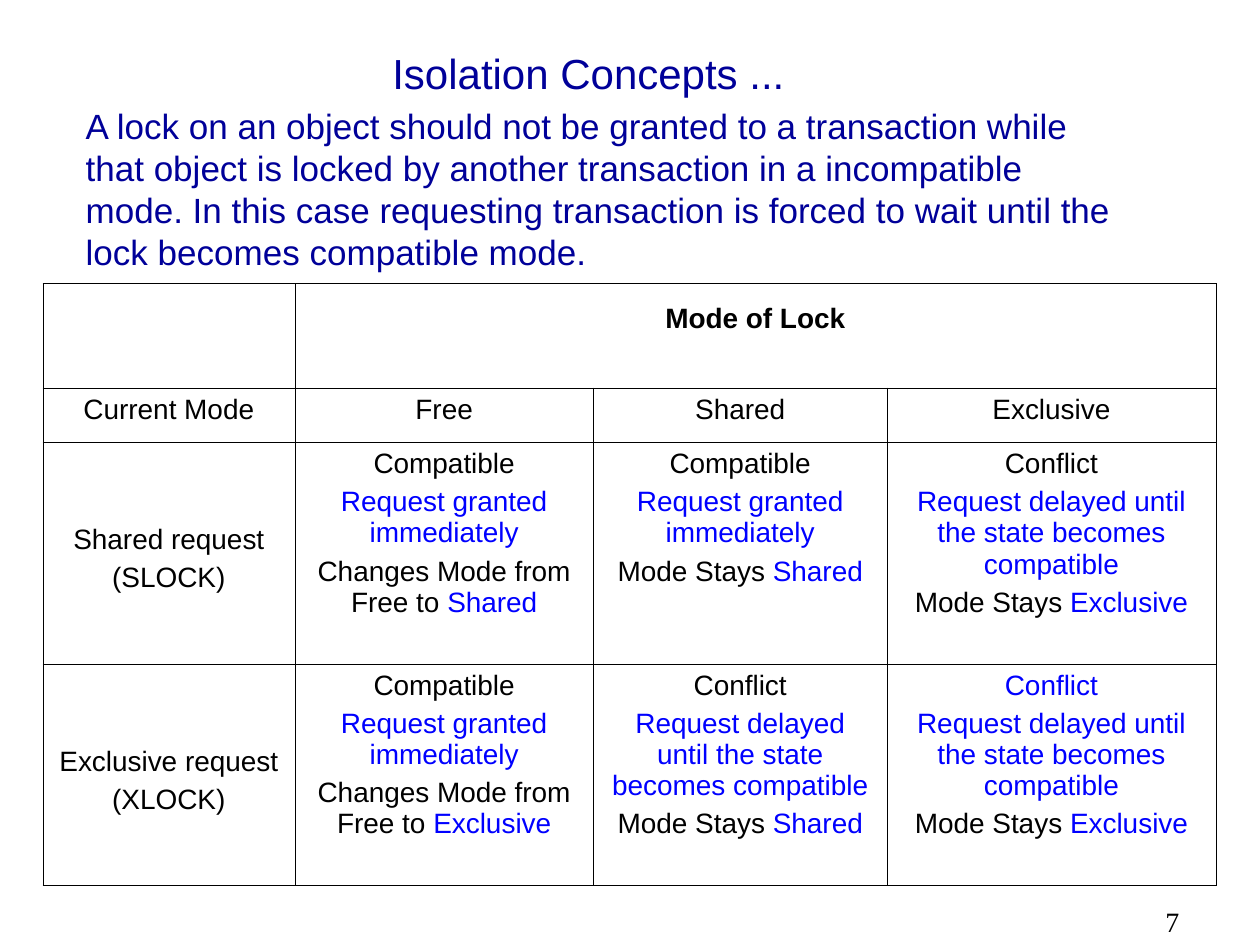
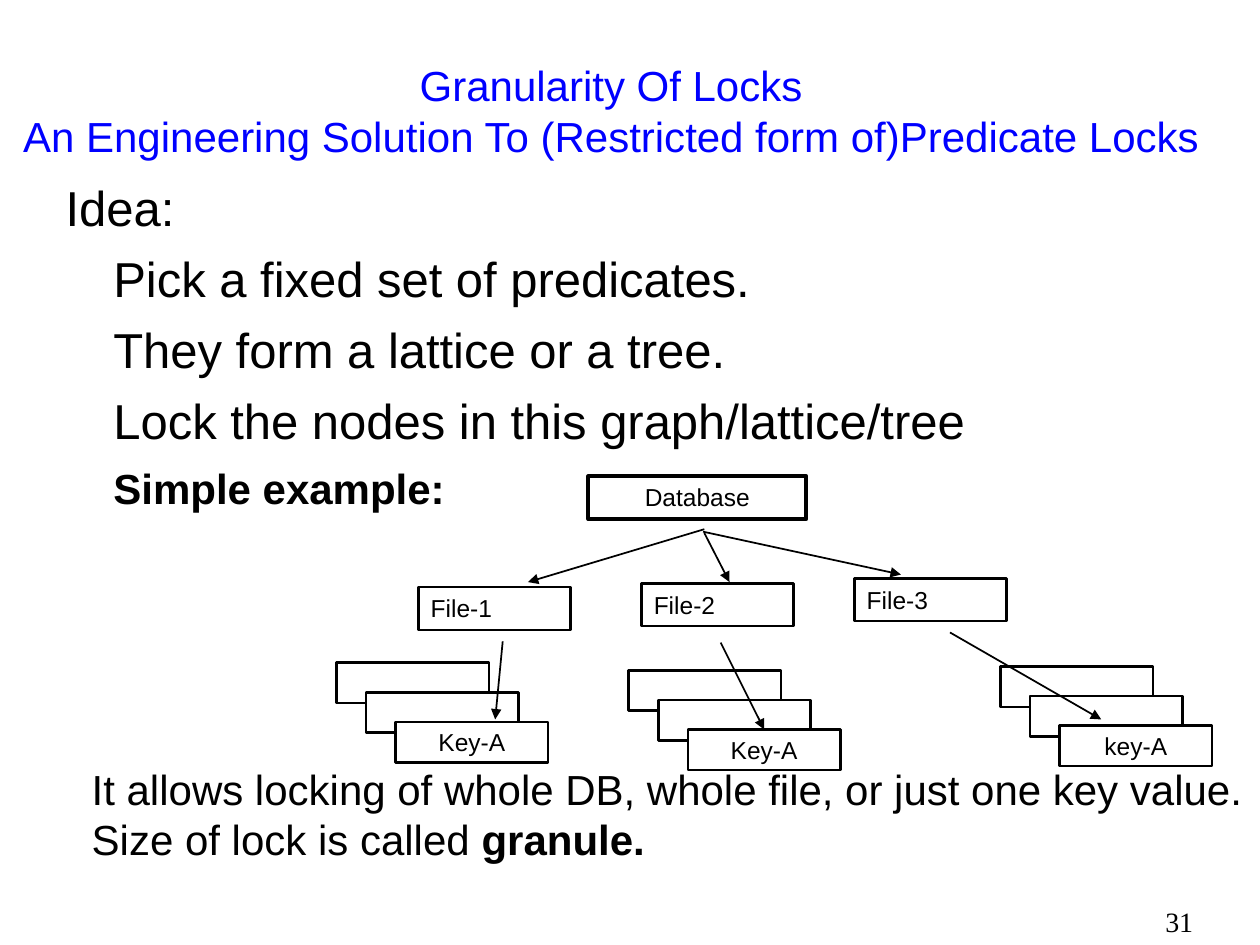
"""Build two slides on lock modes and lock granularity."""
import pptx
import pptx.util
import pptx.dml.color
import pptx.enum.shapes
import pptx.enum.text
import lxml.etree

Pt = pptx.util.Pt
RGB = pptx.dml.color.RGBColor.from_string
ALIGN = pptx.enum.text.PP_ALIGN
ANCHOR = pptx.enum.text.MSO_ANCHOR
RECT = pptx.enum.shapes.MSO_SHAPE.RECTANGLE
STRAIGHT = pptx.enum.shapes.MSO_CONNECTOR.STRAIGHT
A = "{http://schemas.openxmlformats.org/drawingml/2006/main}"

THEME = {
    "black": RGB("000000"), "white": RGB("FFFFFF"),
    "navy": RGB("000099"), "blue": RGB("0000FF"),
    "title": Pt(24), "text": Pt(20), "list": Pt(28), "cell": Pt(16), "node": Pt(14),
}
BASE = {"name": "Arial", "bold": False, "color": THEME["black"]}
TITLE = {**BASE, "size": THEME["title"]}
CELL = {**BASE, "size": THEME["cell"]}
NODE = {**BASE, "size": THEME["node"]}
CENTER = {"alignment": ALIGN.CENTER}
LEFT = {"alignment": ALIGN.LEFT}

prs = pptx.Presentation()
prs.slide_width = pptx.util.Inches(10)
prs.slide_height = pptx.util.Inches(7.5)
COL = prs.slide_width / 100
ROW = prs.slide_height / 75


def grid(*cells):
    """Turn alternating column and row counts into lengths."""
    return [pptx.util.Emu(round(n * (ROW if i % 2 else COL))) for i, n in enumerate(cells)]


def write(tf, lines, font, para=CENTER, accent={}, gap=0):
    """Fill a text frame; parts after an odd asterisk take the accent format."""
    for i, line in enumerate(lines):
        p = tf.add_paragraph() if i else tf.paragraphs[0]
        for key, value in {**para, "space_before": Pt(gap if i else 0)}.items():
            setattr(p, key, value)
        pPr = p._p.get_or_add_pPr()
        pPr.set("marL", "0")
        pPr.set("indent", "0")
        lxml.etree.SubElement(pPr, A + "buNone")
        for j, part in enumerate(line.split("*")):
            if not part:
                continue
            r = p.add_run()
            r.text = part
            for key, value in {**font, **(accent if j % 2 else {})}.items():
                if key == "color":
                    r.font.color.rgb = value
                else:
                    setattr(r.font, key, value)


pages = [
    ("7", ["Isolation Concepts ..."], "navy", (11.5, 3.3, 70.4, 5), ANCHOR.TOP, (5.8, 7.8, 83.8, 14.4)),
    ("31", ["Granularity Of Locks", "An Engineering Solution To (Restricted form of)Predicate Locks"],
     "blue", (0, 2.5, 97, 12.5), ANCHOR.MIDDLE, (4.2, 13.6, 95.8, 55.8)),
]
slides = []
for number, title, color, title_box, anchor, body_box in pages:
    s = prs.slides.add_slide(prs.slide_layouts[1])
    footer = s.shapes.add_textbox(*grid(91.5, 71.3, 8.5, 3.7))
    write(footer.text_frame, [number], {**CELL, "name": "Times New Roman"}, LEFT)
    for sp, box, place in ((s.shapes.title, title_box, anchor), (s.placeholders[1], body_box, ANCHOR.TOP)):
        sp.left, sp.top, sp.width, sp.height = grid(*box)
        tf = sp.text_frame
        tf.word_wrap = True
        tf.auto_size = pptx.enum.text.MSO_AUTO_SIZE.NONE
        tf.vertical_anchor = place
    write(s.shapes.title.text_frame, title, {**TITLE, "color": THEME[color]})
    slides.append(s)
isolation, granularity = slides

write(isolation.placeholders[1].text_frame, [
    "A lock on an object should not be granted to a transaction while that object is locked by "
    "another transaction in a incompatible mode. In this case requesting transaction is forced "
    "to wait until the lock becomes compatible mode."],
    {**BASE, "size": THEME["text"], "color": THEME["navy"]}, LEFT)

GRANTED = "*Request granted immediately"
DELAYED = "*Request delayed until the state becomes compatible"
modes = [
    [[], ["Mode of Lock"], [], []],
    [["Current Mode"], ["Free"], ["Shared"], ["Exclusive"]],
    [["Shared request", "(SLOCK)"],
     ["Compatible", GRANTED, "Changes Mode from Free to *Shared"],
     ["Compatible", GRANTED, "Mode Stays *Shared"],
     ["Conflict", DELAYED, "Mode Stays *Exclusive"]],
    [["Exclusive request", "(XLOCK)"],
     ["Compatible", GRANTED, "Changes Mode from Free to *Exclusive"],
     ["Conflict", DELAYED, "Mode Stays *Shared"],
     ["*Conflict", DELAYED, "Mode Stays *Exclusive"]],
]
table = isolation.shapes.add_table(4, 4, *grid(3.4, 22.5, 93, 47.8)).table
table.first_row = table.horz_banding = False
for column, width in zip(table.columns, (20, 23.7, 23.3, 26.1)):
    column.width = round(width * COL)
for row, height in zip(table.rows, (8.3, 4.3, 17.6, 17.6)):
    row.height = round(height * ROW)
for i, row in enumerate(modes):
    for j, lines in enumerate(row):
        cell = table.cell(i, j)
        tcPr = cell._tc.get_or_add_tcPr()
        for side in ("lnL", "lnR", "lnT", "lnB"):
            ln = lxml.etree.SubElement(tcPr, A + side, w=str(Pt(0.45)))
            fill = lxml.etree.SubElement(ln, A + "solidFill")
            lxml.etree.SubElement(fill, A + "srgbClr", val=str(THEME["black"]))
        cell.fill.background()
        if i > 1 and j == 0:
            cell.margin_top = round(6.5 * ROW)
        write(cell.text_frame, lines, {**CELL, "bold": i == 0},
              {**CENTER, "line_spacing": 1.45 if i == 0 else 1.0}, {"color": THEME["blue"]}, 4)
table.cell(0, 1).merge(table.cell(0, 3))

body = granularity.placeholders[1].text_frame
write(body, ["Idea:", "Pick a fixed set of predicates.", "They form a lattice or a tree.",
             "Lock the nodes in this graph/lattice/tree", "*Simple example:"],
      {**BASE, "size": THEME["list"]}, LEFT, {"size": THEME["title"], "bold": True}, 7)
for p in body.paragraphs[1:]:
    p._p.get_or_add_pPr().set("marL", str(round(3.8 * COL)))

summary = granularity.shapes.add_textbox(*grid(6.3, 60.1, 93.4, 9))
summary.text_frame.word_wrap = False
write(summary.text_frame, ["It allows locking of whole DB, whole file, or just one key value.",
                           "Size of lock is called *granule."], TITLE, LEFT, {"bold": True})

nodes = [
    ("Database", 46.7, 37.8, 17.3, 3.4, 2.25, CENTER, ANCHOR.TOP),
    ("File-1", 33.2, 46.6, 12.1, 3.4, 1.5, LEFT, ANCHOR.TOP),
    ("File-2", 50.9, 46.3, 12.1, 3.4, 1.5, LEFT, ANCHOR.TOP),
    ("File-3", 67.8, 45.9, 12.1, 3.4, 1.5, LEFT, ANCHOR.TOP),
]
for key, x, y in (("Key-A", 26.7, 52.6), ("Key-A", 49.9, 53.2), ("key-A", 79.4, 52.9)):
    for k, label in enumerate(("", "", key)):
        nodes.append((label, x + 2.35 * k, y + 2.35 * k, 12.1, 3.2, 1.5, CENTER, ANCHOR.MIDDLE))
boxes = []
for label, x, y, w, h, weight, para, anchor in nodes:
    sp = granularity.shapes.add_shape(RECT, *grid(x, y, w, h))
    sp.shadow.inherit = False
    sp.fill.solid()
    sp.fill.fore_color.rgb = THEME["white"]
    sp.line.color.rgb = THEME["black"]
    sp.line.width = Pt(weight)
    sp.text_frame.word_wrap = True
    sp.text_frame.vertical_anchor = anchor
    if label:
        write(sp.text_frame, [label], NODE, para)
    boxes.append(sp)
middle_key = boxes[9]

arrows = [
    (55.9, 42, 41.9, 46.2, None), (55.9, 42.3, 57.9, 46.2, None), (55.8, 42.2, 71.5, 45.6, None),
    (39.9, 50.9, 39.3, 57.1, None), (57.2, 51, 60.7, 57.9, middle_key), (75.4, 50.2, 87.4, 57.1, None),
]
for *ends, target in arrows:
    line = granularity.shapes.add_connector(STRAIGHT, *grid(*ends))
    line.line.color.rgb = THEME["black"]
    line.line.width = Pt(1)
    lxml.etree.SubElement(line.line._get_or_add_ln(), A + "tailEnd", type="triangle")
    lxml.etree.SubElement(line._element.spPr, A + "effectLst")
    if target:
        line.end_connect(target, 0)

prs.save("out.pptx")
